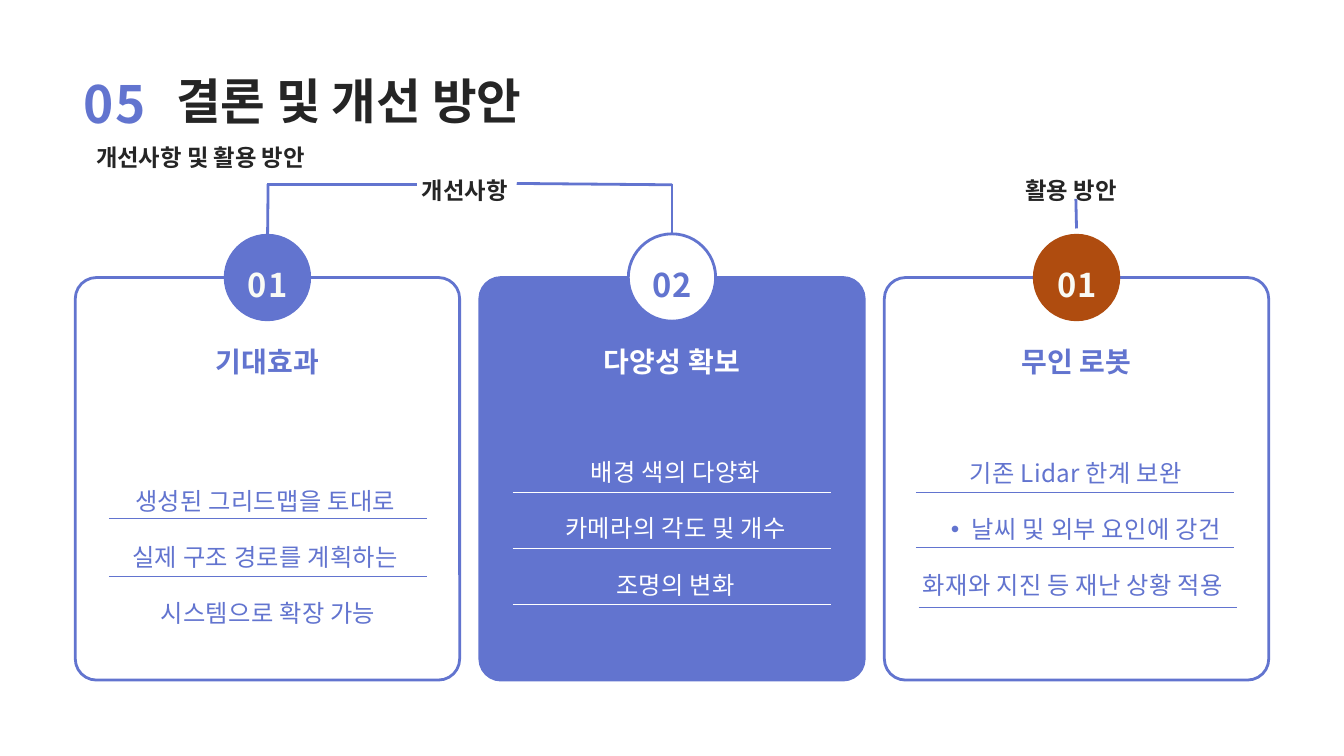
import lxml.etree
import pptx
import pptx.dml.color
import pptx.enum.shapes
import pptx.enum.text
import pptx.oxml.ns
import pptx.util

Inches = pptx.util.Inches
Pt = pptx.util.Pt
RGBColor = pptx.dml.color.RGBColor
qn = pptx.oxml.ns.qn
Shapes = pptx.enum.shapes.MSO_SHAPE
LEFT = pptx.enum.text.PP_ALIGN.LEFT
CENTER = pptx.enum.text.PP_ALIGN.CENTER

BLUE = RGBColor(0x62, 0x74, 0xCF)
RUST = RGBColor(0xAF, 0x4C, 0x0F)
WHITE = RGBColor(0xFF, 0xFF, 0xFF)
CREAM = RGBColor(0xF9, 0xFA, 0xF5)
DARK = RGBColor(0x25, 0x25, 0x25)
FONT = "Noto Sans CJK KR"

NUMBER = {"size": Pt(55), "bold": True}
TITLE = {"size": Pt(52), "bold": True}
LABEL = {"size": Pt(25), "bold": True}
BADGE = {"size": Pt(35), "bold": True}
HEADING = {"size": Pt(30), "bold": True}
BODY = {"size": Pt(26), "bold": False}


def write(box, place, lines, style, color, leading, align=LEFT, tracking=0):
    """Place a box and fill it; a line that starts with a bullet becomes a list item."""
    for name, value in zip(("left", "top", "width", "height"), place):
        setattr(box, name, Inches(value))
    frame = box.text_frame
    settings = {"margin_left": 0, "margin_top": 0, "margin_right": 0, "margin_bottom": 0,
                "word_wrap": True,
                "auto_size": pptx.enum.text.MSO_AUTO_SIZE.NONE,
                "vertical_anchor": pptx.enum.text.MSO_ANCHOR.TOP}
    for name, value in settings.items():
        setattr(frame, name, value)
    for index, line in enumerate(lines):
        para = frame.add_paragraph() if index else frame.paragraphs[0]
        para.alignment = align
        para.line_spacing = Pt(leading)
        if line.startswith("•"):
            para.level = 1
            properties = para._p.get_or_add_pPr()
            properties.set("marL", str(Inches(0.61)))
            properties.set("indent", str(Inches(-0.31)))
            lxml.etree.SubElement(properties, qn("a:buFont"), typeface="Arial")
            lxml.etree.SubElement(properties, qn("a:buChar"), char="•")
        span = para.add_run()
        span.text = line.removeprefix("•")
        for name, value in {**style, "name": FONT}.items():
            setattr(span.font, name, value)
        span.font.color.rgb = color
        run_properties = span._r.get_or_add_rPr()
        run_properties.set("spc", str(round(tracking * 100)))
        lxml.etree.SubElement(run_properties, qn("a:ea"), typeface=FONT)


def draw_line(x1, y1, x2, y2, color, width):
    line = page.shapes.add_connector(pptx.enum.shapes.MSO_CONNECTOR.STRAIGHT,
                                     Inches(x1), Inches(y1), Inches(x2), Inches(y2))
    line.line.color.rgb = color
    line.line.width = Pt(width)
    lxml.etree.SubElement(line._element.spPr, qn("a:effectLst"))


deck = pptx.Presentation()
deck.slide_width = Inches(20)
deck.slide_height = Inches(11.25)
page = deck.slides.add_slide(deck.slide_layouts[5])

# Header
write(page.shapes.title, (2.62, 0.48, 5.8, 1.3), ["결론 및 개선 방안"], TITLE, DARK, 104)
write(page.shapes.add_textbox(0, 0, 0, 0), (1.25, 0.46, 1.53, 1.37), ["05"],
      NUMBER, BLUE, 110, tracking=1.3)

# Cards, each with a numbered badge, a heading, body lines and rules
cards = [
    {"number": "01", "fill": None, "badge": BLUE, "edge": None,
     "digits": CREAM, "ink": BLUE, "heading": "기대효과",
     "body": ["생성된 그리드맵을 토대로 ", "실제 구조 경로를 계획하는 ", "시스템으로 확장 가능"],
     "place": (1.03, 6.83, 5.92, 2.41),
     "rules": [(1.62, 7.72), (1.62, 8.57)]},
    {"number": "02", "fill": BLUE, "badge": WHITE, "edge": BLUE,
     "digits": BLUE, "ink": WHITE, "heading": "다양성 확보",
     "body": ["배경 색의 다양화", "카메라의 각도 및 개수", "조명의 변화"],
     "place": (7.25, 6.4, 5.61, 2.41),
     "rules": [(7.63, 7.32), (7.63, 8.16), (7.63, 9)]},
    {"number": "01", "fill": None, "badge": RUST, "edge": None,
     "digits": CREAM, "ink": BLUE, "heading": "무인 로봇",
     "body": ["기존 Lidar 한계 보완", "•날씨 및 외부 요인에 강건", "화재와 지진 등 재난 상황 적용 "],
     "place": (13.65, 6.41, 4.72, 3.23),
     "rules": [(13.63, 7.32), (13.63, 8.14), (13.67, 9.04)]},
]
CARD_WIDTH, CARD_PITCH, BADGE_SIZE, RULE_LENGTH = 5.72, 6.02, 1.3, 4.74

for index, card in enumerate(cards):
    left = 1.12 + index * CARD_PITCH
    middle = left + CARD_WIDTH / 2
    panel = page.shapes.add_shape(Shapes.ROUNDED_RECTANGLE, Inches(left), Inches(4.13),
                                  Inches(CARD_WIDTH), Inches(5.99))
    panel.adjustments[0] = 0.055
    badge = page.shapes.add_shape(Shapes.OVAL, Inches(middle - BADGE_SIZE / 2), Inches(3.48),
                                  Inches(BADGE_SIZE), Inches(BADGE_SIZE))
    for shape, fill, edge in ((panel, card["fill"], BLUE), (badge, card["badge"], card["edge"])):
        shape.shadow.inherit = False
        if fill is None:
            shape.fill.background()
        else:
            shape.fill.solid()
            shape.fill.fore_color.rgb = fill
        if edge is None:
            shape.line.fill.background()
        else:
            shape.line.color.rgb = edge
            shape.line.width = Pt(3)

    write(page.shapes.add_textbox(0, 0, 0, 0), (middle - 0.43, 3.55, 0.87, 0.87),
          [card["number"]], BADGE, card["digits"], 70, CENTER, 1.1)
    write(page.shapes.add_textbox(0, 0, 0, 0), (middle - 1.82, 5.1, 3.64, 0.52),
          [card["heading"]], HEADING, card["ink"], 37.5, CENTER, 0.3)
    write(page.shapes.add_textbox(0, 0, 0, 0), card["place"],
          card["body"], BODY, card["ink"], 60.3, CENTER, 0.3)
    for x, y in card["rules"]:
        draw_line(x, y, x + RULE_LENGTH, y, card["ink"], 0.75)

# Labels and the brackets that tie them to the cards
labels = [
    ("개선사항 및 활용 방안", (1.43, 1.85, 8.76, 0.62), LEFT),
    ("개선사항", (6.17, 2.34, 1.49, 0.62), CENTER),
    ("활용 방안", (15.26, 2.34, 1.49, 0.62), LEFT),
]
for text, place, align in labels:
    write(page.shapes.add_textbox(0, 0, 0, 0), place, [text], LABEL, DARK, 50, align)

brackets = [
    (3.98, 2.75, 6.2, 2.75),
    (7.69, 2.73, 10, 2.75),
    (3.99, 2.74, 3.98, 3.66),
    (10, 2.74, 10, 3.48),
    (16.02, 3.4, 16.01, 2.96),
]
for ends in brackets:
    draw_line(*ends, BLUE, 3)

deck.save("out.pptx")
